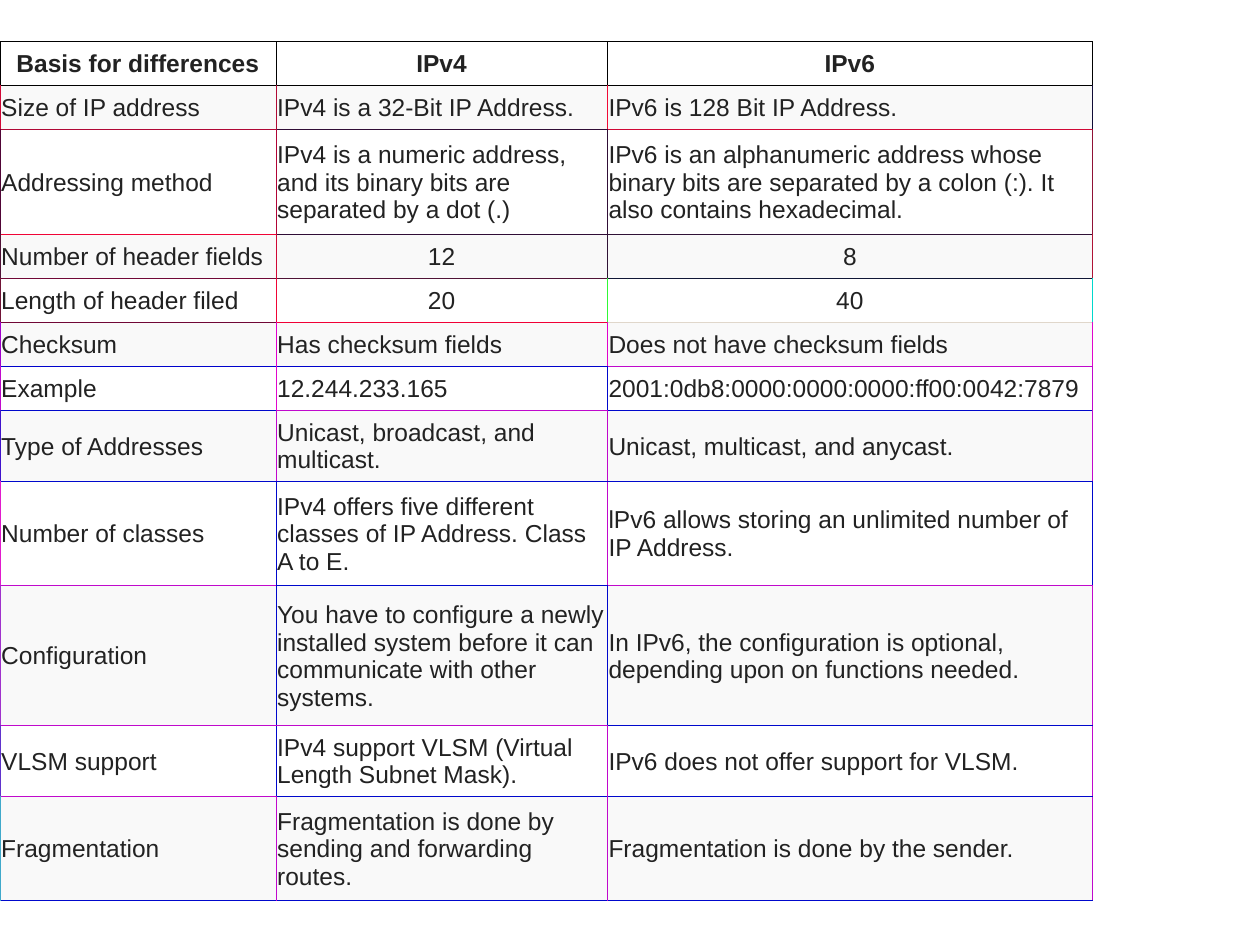
from lxml.etree import SubElement as Sub
from pptx import Presentation
from pptx.dml.color import RGBColor as RGB
from pptx.enum.text import MSO_ANCHOR as Anchor, PP_ALIGN as Align
from pptx.oxml.ns import qn
from pptx.util import Inches, Pt

INK = RGB(0x22, 0x22, 0x22)
BLACK = RGB(0, 0, 0)
WHITE = RGB(0xFF, 0xFF, 0xFF)
GRAY = RGB(0xF9, 0xF9, 0xF9)
SIDES = [[RGB.from_string(code) for code in line.split()] for line in (
    "000000 000000 000000 000000",
    "D00736 B00B36 F00A36 100C36",
    "500536 B00436 300E36 901236",
    "501136 D00836 301336 B01336",
    "701336 F00536 30F835 00D8CB",
    "A000CC E001CC E001CC E006CC",
    "C009CC E007CC 0008CC C007CC",
    "4013CC C007CC C007CC C009CC",
    "E01ACC 0008CC C007CC 0008CC",
    "A032CC 0008CC 0008CC C009CC",
    "6033CC 0008CC C007CC C009CC",
    "40A9CB C009CC C009CC C009CC",
)]
RULES = [[RGB.from_string(code) for code in line.split()] for line in (
    "000000 000000 000000",
    "000000 000000 000000",
    "B00836 300C36 D00836",
    "F00436 300D36 301236",
    "700736 501336 101736",
    "700736 F00036 E0D7CB",
    "0002CC 0002CC C009CC",
    "0008CC C009CC 0008CC",
    "0008CC 0008CC 0008CC",
    "C009CC 0008CC C009CC",
    "C009CC C009CC 0008CC",
    "C009CC 0008CC 0008CC",
    "0008CC 0008CC 0008CC",
)]

ROWS = [
    (0.35, "Basis for differences", "IPv4", "IPv6"),
    (0.35, "Size of IP address", "IPv4 is a 32-Bit IP Address.",
     "IPv6 is 128 Bit IP Address."),
    (0.83, "Addressing method",
     "IPv4 is a numeric address, and its binary bits are separated by a dot (.)",
     "IPv6 is an alphanumeric address whose binary bits are separated by a colon (:). "
     "It also contains hexadecimal."),
    (0.35, "Number of header fields", "12", "8"),
    (0.35, "Length of header filed", "20", "40"),
    (0.35, "Checksum", "Has checksum fields", "Does not have checksum fields"),
    (0.35, "Example", "12.244.233.165", "2001:0db8:0000:0000:0000:ff00:0042:7879"),
    (0.56, "Type of Addresses", "Unicast, broadcast, and multicast.",
     "Unicast, multicast, and anycast."),
    (0.83, "Number of classes",
     "IPv4 offers five different classes of IP Address. Class A to E.",
     "lPv6 allows storing an unlimited number of IP Address."),
    (1.11, "Configuration",
     "You have to configure a newly installed system before it can communicate "
     "with other systems.",
     "In IPv6, the configuration is optional, depending upon on functions needed."),
    (0.56, "VLSM support", "IPv4 support VLSM (Virtual Length Subnet Mask).",
     "IPv6 does not offer support for VLSM."),
    (0.83, "Fragmentation",
     "Fragmentation is done by sending and forwarding routes.",
     "Fragmentation is done by the sender."),
]
WIDTHS = [2.19, 2.63, 3.85]


def add_edge(cell, side, color):
    line = Sub(cell._tc.get_or_add_tcPr(), qn(f"a:ln{side}"), w=str(Pt(0.5)))
    Sub(Sub(line, qn("a:solidFill")), qn("a:srgbClr"), val=str(color))


deck = Presentation()
deck.slide_width = Inches(10)
deck.slide_height = Inches(7.5)
slide = deck.slides.add_slide(deck.slide_layouts[6])
table = slide.shapes.add_table(
    len(ROWS), len(WIDTHS), Inches(0), Inches(0.33),
    Inches(sum(WIDTHS)), Inches(sum(row[0] for row in ROWS))).table
table.first_row = False
table.horz_banding = False
for col, width in zip(table.columns, WIDTHS):
    col.width = Inches(width)

for i, (height, *texts) in enumerate(ROWS):
    table.rows[i].height = Inches(height)
    for j, text in enumerate(texts):
        cell = table.cell(i, j)
        cell.margin_left = cell.margin_right = cell.margin_top = Inches(0.01)
        cell.margin_bottom = Inches(0)
        cell.vertical_anchor = Anchor.MIDDLE
        add_edge(cell, "L", SIDES[i][j])
        add_edge(cell, "R", SIDES[i][j + 1])
        add_edge(cell, "T", RULES[i][j])
        add_edge(cell, "B", RULES[i + 1][j])
        cell.fill.solid()
        cell.fill.fore_color.rgb = GRAY if i % 2 else WHITE
        para = cell.text_frame.paragraphs[0]
        para.alignment = Align.CENTER if i == 0 or text.isdigit() else Align.LEFT
        run = para.add_run()
        run.text = text
        run.font.name = "Arial"
        run.font.size = Pt(14)
        run.font.bold = i == 0
        run.font.color.rgb = INK

deck.save("out.pptx")
